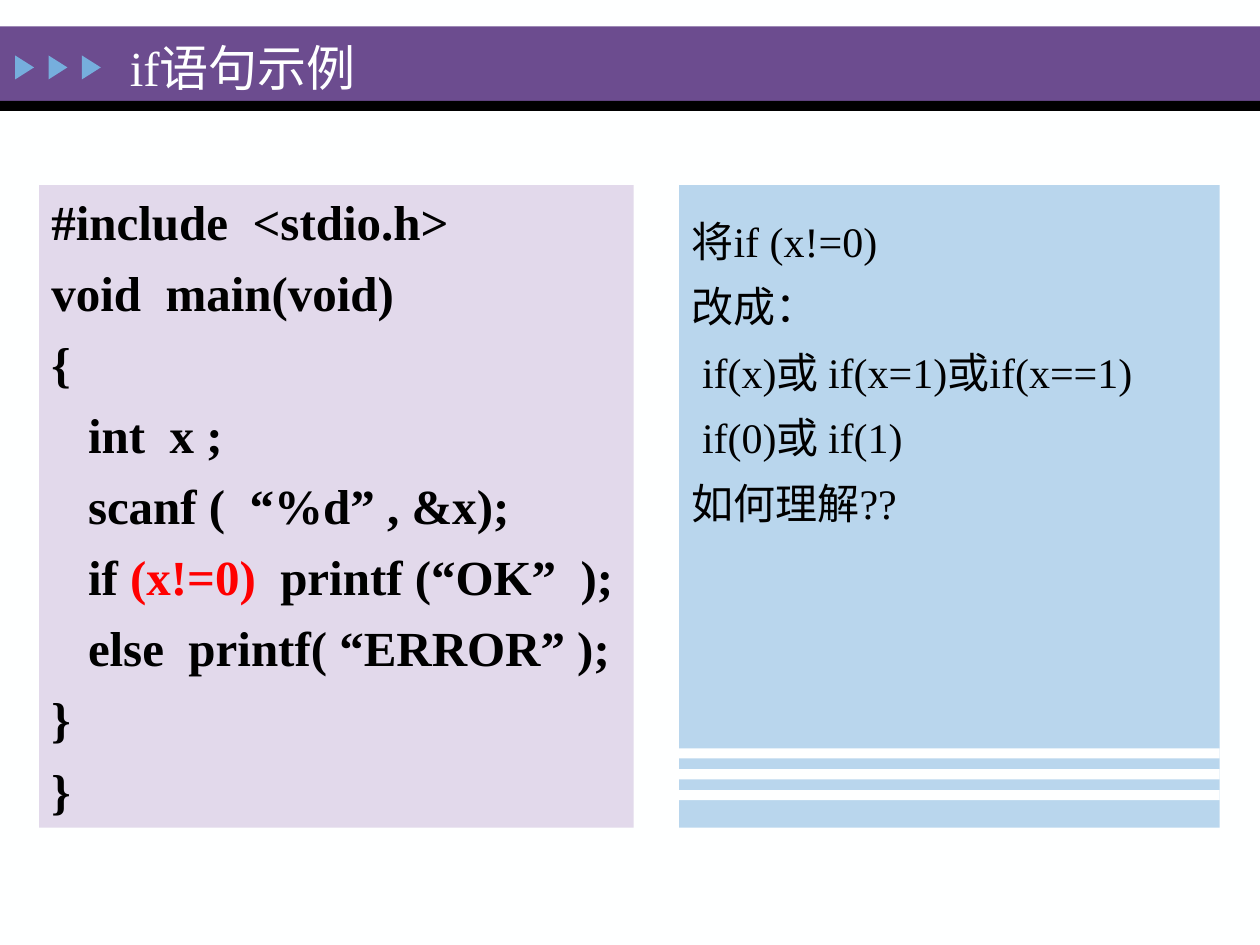
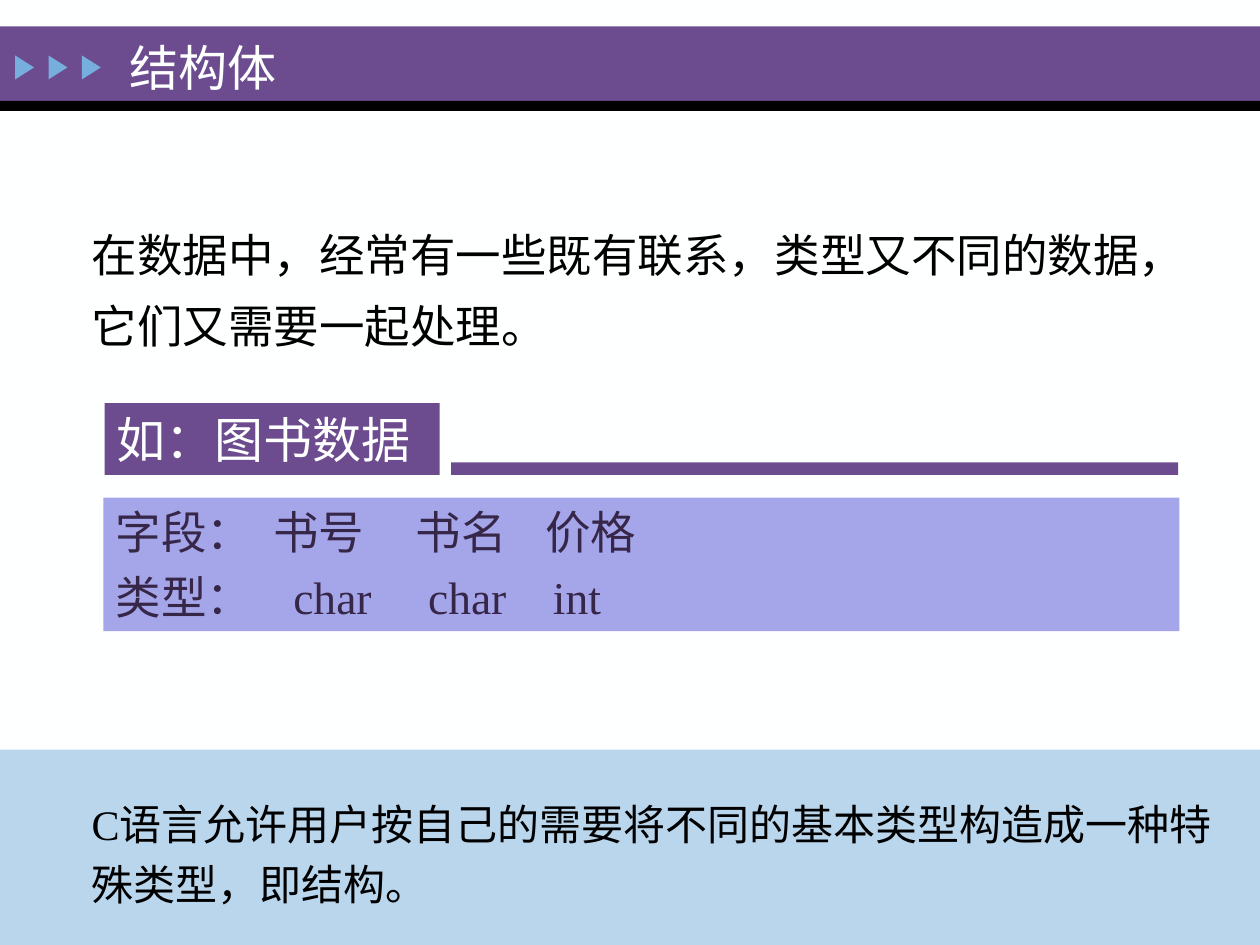
from dataclasses import dataclass

from lxml import etree
from pptx import Presentation
from pptx.dml.color import RGBColor
from pptx.enum.shapes import MSO_SHAPE
from pptx.enum.text import MSO_ANCHOR, MSO_AUTO_SIZE, PP_ALIGN
from pptx.oxml.ns import qn
from pptx.presentation import Presentation as Deck
from pptx.shapes.base import BaseShape
from pptx.slide import Slide
from pptx.text.text import TextFrame
from pptx.util import Inches, Pt

RECTANGLE = MSO_SHAPE.RECTANGLE
TRIANGLE = MSO_SHAPE.ISOSCELES_TRIANGLE
TOP, MIDDLE = MSO_ANCHOR.TOP, MSO_ANCHOR.MIDDLE
LEFT = PP_ALIGN.LEFT
FIXED_SIZE = MSO_AUTO_SIZE.NONE

FONT = "Times New Roman"
PAPER, INK, RED = "FEFFFF", "000000", "FF0000"
PURPLE, SKY, LILAC = "6C4C8F", "76AEDD", "E2D9EB"
PERIWINKLE, PLUM = "A5A5E9", "362647"

COLUMNS, ROWS = 100, 75
CELL = Inches(0.1)


@dataclass(frozen=True)
class Area:
    """A rectangle measured in grid columns and rows."""
    column: float
    row: float
    columns: float
    rows: float

    def emu(self) -> tuple[int, ...]:
        """Return left, top, width and height in EMU."""
        return tuple(round(cells * CELL) for cells in
                     (self.column, self.row, self.columns, self.rows))


@dataclass(frozen=True)
class Line:
    """A paragraph with an optional indent, tab stops and marked part."""
    text: str
    indent: float = 0
    tabs: tuple[float, ...] = ()
    marked: str = ""


@dataclass(frozen=True)
class TextStyle:
    """The type settings of a block of text."""
    size: float
    color: str = INK
    bold: bool = False
    before: float = 0
    spacing: float = 1.0


TITLE_AREA = Area(9.3, 2.8, 70, 5)
TITLE_STYLE = TextStyle(28, PAPER)
CODE_STYLE = TextStyle(28, bold=True, before=7)
QUESTION_STYLE = TextStyle(24, spacing=1.3)
INTRO_STYLE = TextStyle(26, before=6, spacing=1.3)
LABEL_STYLE = TextStyle(28, PAPER, before=6)
FIELD_STYLE = TextStyle(26, PLUM, before=6)
SUMMARY_STYLE = TextStyle(24, before=5.5)

CODE_INDENT = 2.9
CODE = [
    Line("#include  <stdio.h>"),
    Line("void  main(void)"),
    Line("{"),
    Line("int  x ;", CODE_INDENT),
    Line("scanf (  “%d” , &x);", CODE_INDENT),
    Line("if (x!=0)  printf (“OK”  );", CODE_INDENT, marked="(x!=0)"),
    Line("else  printf( “ERROR” );", CODE_INDENT),
    Line("}"),
    Line("}"),
]
QUESTION = [
    Line("将if (x!=0)"),
    Line("改成："),
    Line(" if(x)或 if(x=1)或if(x==1)"),
    Line(" if(0)或 if(1)"),
    Line("如何理解??"),
]
INTRO = [Line("在数据中，经常有一些既有联系，类型又不同的数据，它们又需要一起处理。")]
FIELDS = [
    Line("字段：\t书号\t书名\t价格", tabs=(12.5, 23.8, 34.1)),
    Line("类型：\tchar\tchar\tint", tabs=(14.1, 24.8, 34.7)),
]
SUMMARY = [
    Line("C语言允许用户按自己的需要将不同的基本类型构造成一种特"),
    Line("殊类型，即结构。"),
]


def rgb(color: str) -> RGBColor:
    """Turn a hex string into a colour."""
    return RGBColor.from_string(color)


def write(frame: TextFrame, lines: list[Line], style: TextStyle,
          anchor: MSO_ANCHOR = TOP) -> None:
    """Fill a text frame with styled lines."""
    frame.word_wrap = True
    frame.auto_size = FIXED_SIZE
    frame.vertical_anchor = anchor
    for index, line in enumerate(lines):
        paragraph = frame.add_paragraph() if index else frame.paragraphs[0]
        paragraph.alignment = LEFT
        paragraph.space_before = Pt(style.before)
        paragraph.line_spacing = style.spacing
        font = paragraph.font
        font.name, font.size, font.bold = FONT, Pt(style.size), style.bold
        font.color.rgb = rgb(style.color)
        parts = line.text.partition(line.marked) if line.marked else (line.text,)
        for part in parts:
            run = paragraph.add_run()
            run.text = part
            if part == line.marked:
                run.font.color.rgb = rgb(RED)
        properties = paragraph._p.get_or_add_pPr()
        if line.indent:
            properties.set("marL", str(round(line.indent * CELL)))
        if line.tabs:
            stops = etree.Element(qn("a:tabLst"))
            for tab in line.tabs:
                etree.SubElement(stops, qn("a:tab"),
                                 pos=str(round(tab * CELL)), algn="l")
            properties.find(qn("a:defRPr")).addprevious(stops)


def add_block(slide: Slide, area: Area, color: str, opacity: int = 100,
              preset: MSO_SHAPE = RECTANGLE) -> BaseShape:
    """Add a borderless filled shape."""
    block = slide.shapes.add_shape(preset, *area.emu())
    block.shadow.inherit = False
    block.fill.solid()
    block.fill.fore_color.rgb = rgb(color)
    block.line.fill.background()
    if opacity < 100:
        fill_color = block.element.spPr.find(qn("a:solidFill"))[0]
        etree.SubElement(fill_color, qn("a:alpha"), val=str(opacity * 1000))
    return block


def add_text(slide: Slide, area: Area, lines: list[Line], style: TextStyle) -> None:
    """Add a wrapping text box."""
    write(slide.shapes.add_textbox(*area.emu()).text_frame, lines, style)


def add_titled_slide(deck: Deck, heading: str) -> Slide:
    """Add a slide with the title band, its arrows and its heading."""
    slide = deck.slides.add_slide(deck.slide_layouts[5])
    add_block(slide, Area(0, 2.1, COLUMNS, 5.9), PURPLE)
    add_block(slide, Area(0, 8, COLUMNS, 0.8), INK)
    for step in range(3):
        arrow = add_block(slide, Area(1 + 2.65 * step, 4.6, 1.9, 1.5), SKY,
                          preset=TRIANGLE)
        arrow.rotation = 90
    title = slide.shapes.title
    title.left, title.top, title.width, title.height = TITLE_AREA.emu()
    write(title.text_frame, [Line(heading)], TITLE_STYLE, MIDDLE)
    title.element.getparent().append(title.element)
    return slide


def build_if_example(deck: Deck) -> None:
    """Build the slide that shows the if statement."""
    slide = add_titled_slide(deck, "if语句示例")
    code = add_block(slide, Area(3.1, 14.7, 47.2, 51), LILAC)
    write(code.text_frame, CODE, CODE_STYLE)
    panel = Area(53.9, 14.7, 42.9, 51)
    add_block(slide, panel, SKY, 50)
    add_text(slide, Area(panel.column, 15.4, 41.9, 26.8), QUESTION, QUESTION_STYLE)
    for step in range(3):
        add_block(slide, Area(panel.column, 59.4 + 1.65 * step, panel.columns, 0.8),
                  PAPER)


def build_structure(deck: Deck) -> None:
    """Build the slide that introduces structures."""
    slide = add_titled_slide(deck, "结构体")
    add_block(slide, Area(0, 59.5, COLUMNS, ROWS - 59.5), SKY, 50)
    add_text(slide, Area(6.3, 16.2, 89.8, 11.8), INTRO, INTRO_STYLE)
    label = add_block(slide, Area(8.3, 32, 26.6, 5.7), PURPLE)
    write(label.text_frame, [Line("如：图书数据")], LABEL_STYLE)
    fields = add_block(slide, Area(8.2, 39.5, 85.4, 10.6), PERIWINKLE)
    write(fields.text_frame, FIELDS, FIELD_STYLE)
    add_text(slide, Area(6.3, 62.9, 92.4, 9.9), SUMMARY, SUMMARY_STYLE)
    add_block(slide, Area(35.8, 36.7, 57.7, 1), PURPLE)


def main() -> None:
    """Build and save the presentation."""
    deck = Presentation()
    deck.slide_width, deck.slide_height = COLUMNS * CELL, ROWS * CELL
    backdrop = deck.slide_master.background.fill
    backdrop.solid()
    backdrop.fore_color.rgb = rgb(PAPER)
    build_if_example(deck)
    build_structure(deck)
    deck.save("out.pptx")


if __name__ == "__main__":
    main()
